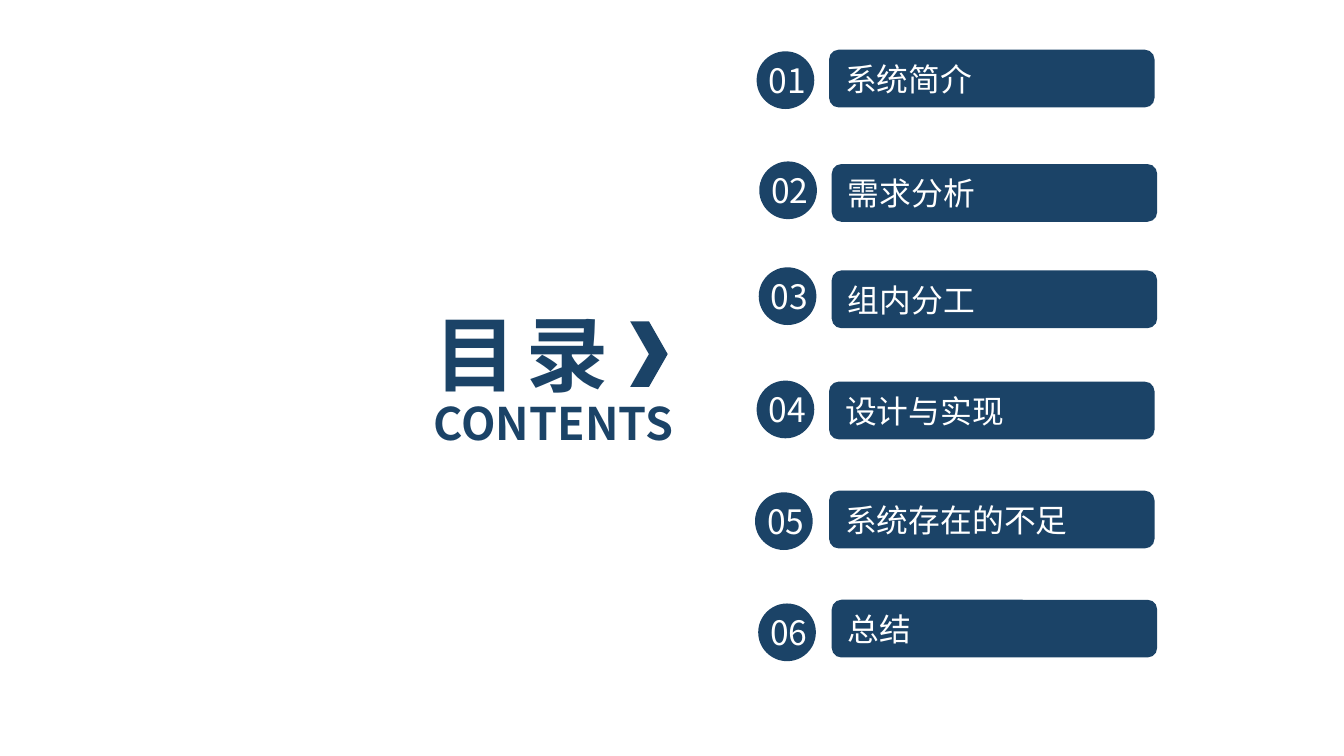
import pptx
import pptx.dml.color
import pptx.enum.shapes
import pptx.enum.text
import pptx.oxml
import pptx.oxml.ns
import pptx.util

Cm = pptx.util.Cm
SHAPES = pptx.enum.shapes.MSO_SHAPE
ALIGN = pptx.enum.text.PP_ALIGN
FONT = "Noto Sans CJK SC"
NAVY = "1B4367"
WHITE = "FFFFFF"
BADGE_SIZE = 1.09
BAR_WIDTH = 6.15

ENTRIES = [
    ("系统简介", (15.67, 0.94), (14.30, 0.97)),
    ("需求分析", (15.72, 3.10), (14.35, 3.05)),
    ("组内分工", (15.72, 5.11), (14.34, 5.05)),
    ("设计与实现", (15.67, 7.21), (14.30, 7.19)),
    ("系统存在的不足", (15.67, 9.27), (14.27, 9.30)),
    ("总结", (15.72, 11.33), (14.33, 11.40)),
]


def color(value):
    return pptx.dml.color.RGBColor.from_string(value)


def write_text(shape, text, size, text_color, align=ALIGN.LEFT, bold=False, spacing=0):
    frame = shape.text_frame
    frame.word_wrap = True
    frame.auto_size = pptx.enum.text.MSO_AUTO_SIZE.NONE
    frame.vertical_anchor = pptx.enum.text.MSO_ANCHOR.MIDDLE
    paragraph = frame.paragraphs[0]
    paragraph.alignment = align
    run = paragraph.add_run()
    run.text = text
    run.font.size = pptx.util.Pt(size)
    run.font.bold = bold
    run.font.name = FONT
    run.font.color.rgb = color(text_color)
    properties = run.font._element
    east_asian = pptx.oxml.parse_xml(
        f'<a:ea {pptx.oxml.ns.nsdecls("a")} typeface="{FONT}"/>'
    )
    properties.find(pptx.oxml.ns.qn("a:latin")).addnext(east_asian)
    if spacing:
        properties.set("spc", str(round(spacing * 100)))


def add_filled_shape(shapes, kind, left, top, width, height):
    shape = shapes.add_shape(kind, Cm(left), Cm(top), Cm(width), Cm(height))
    shape.shadow.inherit = False
    shape.fill.solid()
    shape.fill.fore_color.rgb = color(NAVY)
    shape.line.fill.background()
    return shape


def add_bar(slide, text, left, top):
    bar = add_filled_shape(
        slide.shapes, SHAPES.ROUNDED_RECTANGLE, left, top, BAR_WIDTH, BADGE_SIZE
    )
    write_text(bar, text, 17, WHITE)


def add_badge(slide, number, left, top):
    group = slide.shapes.add_group_shape()
    add_filled_shape(group.shapes, SHAPES.OVAL, left, top, BADGE_SIZE, BADGE_SIZE)
    label = group.shapes.add_textbox(Cm(left - 0.08), Cm(top + 0.03), Cm(1.32), Cm(1.02))
    write_text(label, f"{number:02d}", 18, WHITE, ALIGN.CENTER)


def add_heading(slide):
    title = slide.shapes.title
    title.left, title.top = Cm(7.95), Cm(5.59)
    title.width, title.height = Cm(5.97), Cm(2.13)
    write_text(title, "目 录", 44, NAVY, bold=True, spacing=-2.2)
    subtitle = slide.shapes.add_textbox(Cm(7.95), Cm(7.34), Cm(5.87), Cm(1.27))
    write_text(subtitle, "CONTENTS", 24, NAVY, bold=True)
    add_filled_shape(slide.shapes, SHAPES.CHEVRON, 11.91, 6.07, 0.71, 1.24)


def main():
    presentation = pptx.Presentation()
    presentation.slide_width = Cm(25.4)
    presentation.slide_height = Cm(14.28)
    slide = presentation.slides.add_slide(presentation.slide_layouts[5])
    add_heading(slide)
    for number, (text, bar_position, badge_position) in enumerate(ENTRIES, 1):
        add_bar(slide, text, *bar_position)
        add_badge(slide, number, *badge_position)
    presentation.save("out.pptx")


if __name__ == "__main__":
    main()
